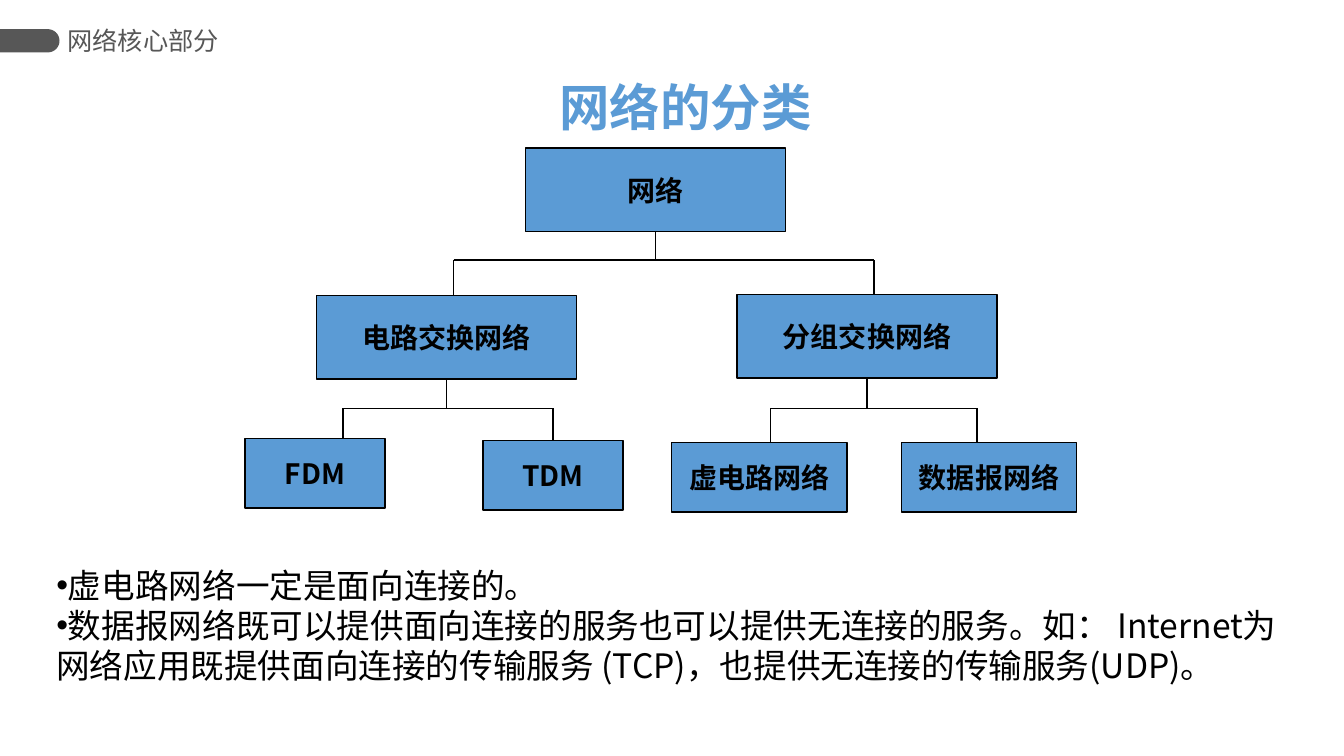
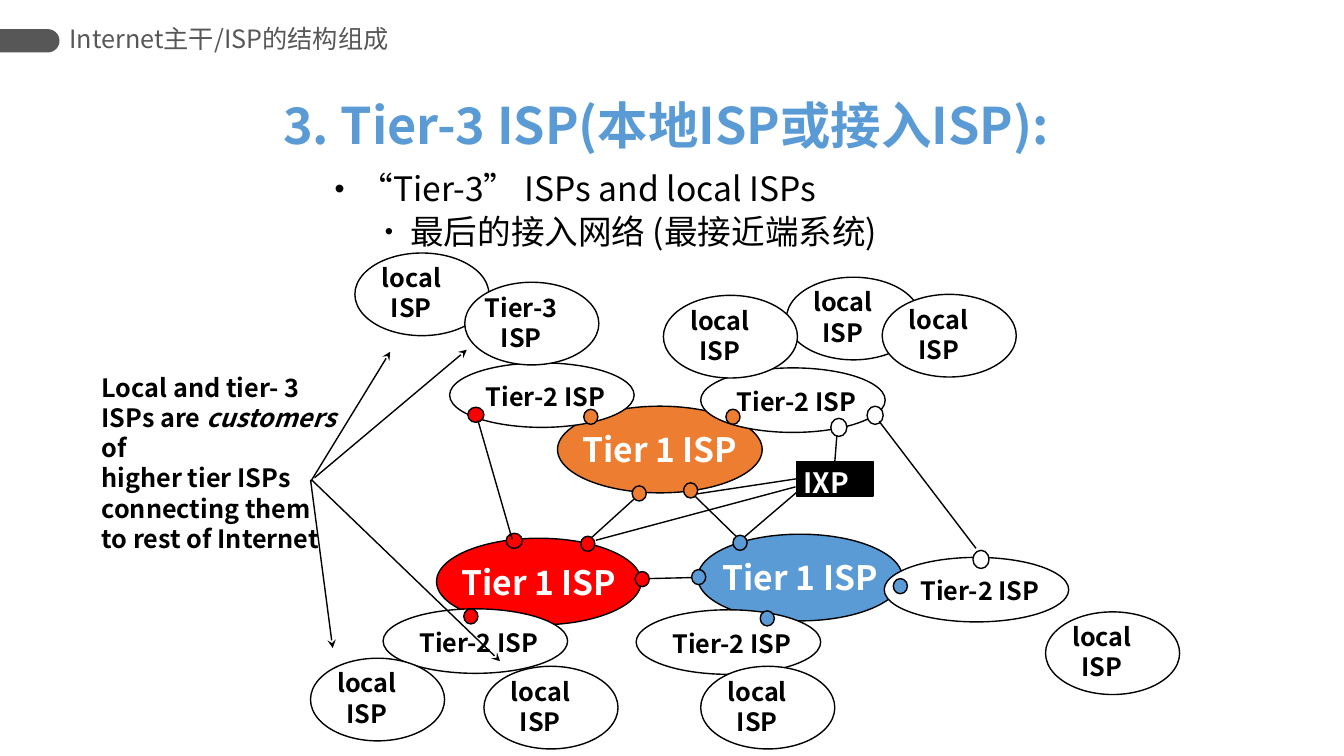
import math

from lxml import etree
from pptx import Presentation
from pptx.dml.color import RGBColor
from pptx.enum import shapes, text
from pptx.oxml import ns
from pptx.util import Inches, Pt

FONT = "Noto Sans CJK SC"
BLUE = RGBColor(0x5B, 0x9B, 0xD5)
ORANGE = RGBColor(0xED, 0x7D, 0x31)
RED = RGBColor(0xFF, 0x00, 0x00)
GREY = RGBColor(0x57, 0x57, 0x57)
BLACK = RGBColor(0, 0, 0)
WHITE = RGBColor(0xFF, 0xFF, 0xFF)

RECT = shapes.MSO_SHAPE.RECTANGLE
OVAL = shapes.MSO_SHAPE.OVAL
TOP, LEFT, BOTTOM = 0, 1, 2
MIDDLE = text.MSO_ANCHOR.MIDDLE
CENTER = text.PP_ALIGN.CENTER
INSETS = (0.1, 0.05, 0.1, 0.05)


def add_bullet(p, percent, left, hanging):
    pPr = p._p.get_or_add_pPr()
    pPr.set("marL", str(Inches(left)))
    pPr.set("indent", str(-Inches(hanging)))
    etree.SubElement(pPr, ns.qn("a:buSzPct")).set("val", str(percent * 1000))
    etree.SubElement(pPr, ns.qn("a:buFont")).set("typeface", "Arial")
    etree.SubElement(pPr, ns.qn("a:buChar")).set("char", "•")


def write(tf, paragraphs, size=18, color=BLACK, bold=False, align=None,
          anchor=text.MSO_ANCHOR.TOP, wrap=True, insets=INSETS, spacing=None,
          before=0, bullets=None):
    """Fill a frame; a paragraph is a string or a list of (text, italic) runs.

    bullets holds one (percent, left, hanging) for each paragraph.
    """
    tf.word_wrap = wrap
    tf.vertical_anchor = anchor
    tf.margin_left, tf.margin_top, tf.margin_right, tf.margin_bottom = map(Inches, insets)
    for i, runs in enumerate(paragraphs):
        p = tf.add_paragraph() if i else tf.paragraphs[0]
        if bullets:
            add_bullet(p, *bullets[i])
        if align is not None:
            p.alignment = align
        if spacing:
            p.line_spacing = spacing
        if i and before:
            p.space_before = Pt(before)
        for words, italic in [(runs, False)] if isinstance(runs, str) else runs:
            r = p.add_run()
            r.text = words
            f = r.font
            f.size, f.bold, f.italic, f.name = Pt(size), bold, italic, FONT
            f.color.rgb = color
            etree.SubElement(r._r.get_or_add_rPr(), ns.qn("a:ea")).set("typeface", FONT)


def add_text(s, box, paragraphs, **fmt):
    sp = s.shapes.add_textbox(*map(Inches, box))
    write(sp.text_frame, paragraphs, **fmt)


def add_box(s, kind, box, fill, paragraphs=(), **fmt):
    sp = s.shapes.add_shape(kind, *map(Inches, box))
    sp.shadow.inherit = False
    sp.fill.solid()
    sp.fill.fore_color.rgb = fill
    sp.line.color.rgb = BLACK
    sp.line.width = Pt(1)
    if paragraphs:
        write(sp.text_frame, paragraphs,
              **{"bold": True, "align": CENTER, "anchor": MIDDLE, "wrap": False, **fmt})
    return sp


def add_line(s, start, end, begin=None, finish=None, arrow=False):
    """Draw a line; begin and finish are (shape, site) to join its ends to."""
    c = s.shapes.add_connector(shapes.MSO_CONNECTOR.STRAIGHT,
                               *map(Inches, (*start, *end)))
    c.line.color.rgb = BLACK
    c.line.width = Pt(1)
    if arrow:
        etree.SubElement(c.line._get_or_add_ln(), ns.qn("a:tailEnd")).set("type", "stealth")
    etree.SubElement(c._element.spPr, ns.qn("a:effectLst"))
    if begin:
        c.begin_connect(*begin)
    if finish:
        c.end_connect(*finish)


def add_header(s, label, box):
    """Grey tab with a rounded right end, and the section label beside it."""
    radius, cx, cy = 0.115, 0.475, 0.405
    arc = [(cx + radius * math.cos(a), cy + radius * math.sin(a))
           for a in (math.radians(d) for d in range(-90, 91, 6))]
    outline = [*arc, (0, cy + radius)]
    fb = s.shapes.build_freeform(0, Inches(cy - radius))
    fb.add_line_segments([(Inches(x), Inches(y)) for x, y in outline], close=True)
    tab = fb.convert_to_shape()
    tab.shadow.inherit = False
    tab.fill.solid()
    tab.fill.fore_color.rgb = GREY
    tab.line.fill.background()
    add_text(s, box, [label], color=GREY, anchor=MIDDLE, insets=(0, 0.05, 0, 0.05))


def add_title(s, title, box, **fmt):
    add_text(s, box, [title], size=36, color=BLUE, bold=True, anchor=MIDDLE, **fmt)


def add_branch(s, parent, bar_y, drops):
    """Join a parent to children; drops are (child, x), x None for its middle."""
    stem_x = (parent.left + parent.width / 2) / Inches(1)
    ends = []
    for child, x in drops:
        middle = (child.left + child.width / 2) / Inches(1)
        ends.append(middle if x is None else x)
        add_line(s, (ends[-1], bar_y), (ends[-1], child.top / Inches(1)),
                 finish=(child, TOP) if x is None else None)
    add_line(s, (ends[0], bar_y), (ends[-1], bar_y))
    add_line(s, (stem_x, bar_y), (stem_x, bar_y), begin=(parent, BOTTOM))


def add_network_tree(s):
    def node(label, x, y, w, h):
        return add_box(s, RECT, (x, y, w, h), BLUE, [label], size=20)

    large, small, wide = (2.58, 0.83), (1.39, 0.69), (1.74, 0.69)
    root = node("网络", 5.21, 1.47, *large)
    circuit = node("电路交换网络", 3.14, 2.93, *large)
    packet = node("分组交换网络", 7.31, 2.92, *large)
    fdm = node("FDM", 2.43, 4.35, *small)
    tdm = node("TDM", 4.79, 4.37, *small)
    virtual = node("虚电路网络", 6.66, 4.39, *wide)
    datagram = node("数据报网络", 8.94, 4.39, *wide)
    add_branch(s, root, 2.58, [(circuit, 4.5), (packet, 8.67)])
    add_branch(s, circuit, 4.05, [(fdm, 3.4), (tdm, None)])
    add_branch(s, packet, 4.05, [(virtual, 7.64), (datagram, 9.69)])


def add_isp_map(s):
    for x, y, fill in [(4.33, 5.34, RED), (5.53, 4.03, ORANGE), (6.92, 5.3, BLUE)]:
        add_box(s, OVAL, (x, y, 2.03, 0.86), fill, ["Tier 1 ISP"], size=24, color=WHITE)
    ixp = add_box(s, RECT, (7.9, 4.58, 0.76, 0.34), BLACK, ["IXP"], size=20, color=WHITE,
                  align=text.PP_ALIGN.LEFT, insets=(0.07, 0.08, 0, 0))
    for x, y in [(6.95, 3.65), (4.46, 3.6), (3.8, 6.04), (6.31, 6.05), (8.77, 5.53)]:
        add_box(s, OVAL, (x, y, 1.83, 0.64), WHITE, ["Tier-2 ISP"],
                insets=(0.07, 0.02, 0, 0))

    ports = [
        (0.14, 0.15, BLUE, [(7.27, 5.31), (6.86, 5.65), (7.54, 6.06), (8.86, 5.74)]),
        (0.14, 0.15, ORANGE, [(6.78, 4.79), (6.27, 4.82), (7.2, 4.06), (5.79, 4.06)]),
        (0.14, 0.15, RED, [(5.76, 5.32), (6.3, 5.67), (4.6, 6.04)]),
        (0.16, 0.15, RED, [(4.64, 4.04), (5.02, 5.29)]),
        (0.16, 0.18, WHITE, [(8.6, 4.03), (9.65, 5.46), (8.24, 4.15)]),
    ]
    for w, h, fill, places in ports:
        for x, y in places:
            add_box(s, OVAL, (x, y, w, h), fill)

    links = [((6.44, 5.74), (6.86, 5.73)), ((6.89, 4.92), (7.3, 5.32)),
             ((5.86, 5.34), (6.29, 4.95)), ((7.93, 4.86), (7.38, 5.33)),
             ((7.89, 4.83), (5.91, 5.36)), ((4.74, 4.17), (5.08, 5.35)),
             ((8.72, 4.18), (9.68, 5.44))]
    for start, end in links:
        add_line(s, start, end)
    add_line(s, (7.9, 4.75), (6.91, 4.9), begin=(ixp, LEFT))
    add_line(s, (8.3, 4.32), (8.28, 4.58), finish=(ixp, TOP))

    access = [("local", 7.8, 2.75), ("local", 6.58, 2.93), ("local", 8.75, 2.92),
              ("local", 3.08, 6.53), ("local", 3.52, 2.51), ("Tier-3", 4.61, 2.8),
              ("local", 4.8, 6.61), ("local", 6.95, 6.61), ("local", 10.37, 6.07)]
    for name, x, y in access:
        add_box(s, OVAL, (x, y, 1.33, 0.82), WHITE, [name, "ISP"],
                insets=(0, 0, 0.21, 0.03))


def add_customer_note(s):
    add_text(s, (0.91, 3.64, 2.58, 1.92), [
        [("Local and tier- 3 ISPs are ", False), ("customers", True), (" of", False)],
        "higher tier ISPs",
        "connecting them to rest of Internet",
    ], bold=True)
    for start, end in [((3.08, 4.78), (3.87, 3.49)), ((3.12, 4.74), (4.63, 3.47)),
                       ((3.08, 4.76), (3.3, 6.43)), ((3.09, 4.76), (4.96, 6.56))]:
        add_line(s, start, end, arrow=True)


def build_classification(s):
    add_header(s, "网络核心部分", (0.67, 0.19, 2.33, 0.42))
    add_title(s, "网络的分类", (5.45, 0.77, 3.01, 0.65), spacing=0.9)
    add_network_tree(s)
    add_text(s, (0.46, 5.55, 12.51, 1.31), [
        "虚电路网络一定是面向连接的。",
        "数据报网络既可以提供面向连接的服务也可以提供无连接的服务。如： Internet为"
        "网络应用既提供面向连接的传输服务 (TCP)，也提供无连接的传输服务(UDP)。",
    ], size=24, bullets=[(100, 0, 0)] * 2)


def build_tier3(s):
    add_header(s, "Internet主干/ISP的结构组成", (0.69, 0.24, 3.58, 0.29))
    add_title(s, "3. Tier-3 ISP(本地ISP或接入ISP):", (2.71, 0.8, 8.85, 0.86))
    add_text(s, (3.22, 1.66, 9.23, 1), [
        "“Tier-3” ISPs and local ISPs",
        "最后的接入网络 (最接近端系统)",
    ], size=24, spacing=0.9, before=5, bullets=[(85, 0.25, 0.25), (70, 0.75, 0.25)])
    add_isp_map(s)
    add_customer_note(s)


def main():
    prs = Presentation()
    prs.slide_width, prs.slide_height = Inches(13.33), Inches(7.5)
    for build in (build_classification, build_tier3):
        build(prs.slides.add_slide(prs.slide_layouts[6]))
    prs.save("out.pptx")


if __name__ == "__main__":
    main()
